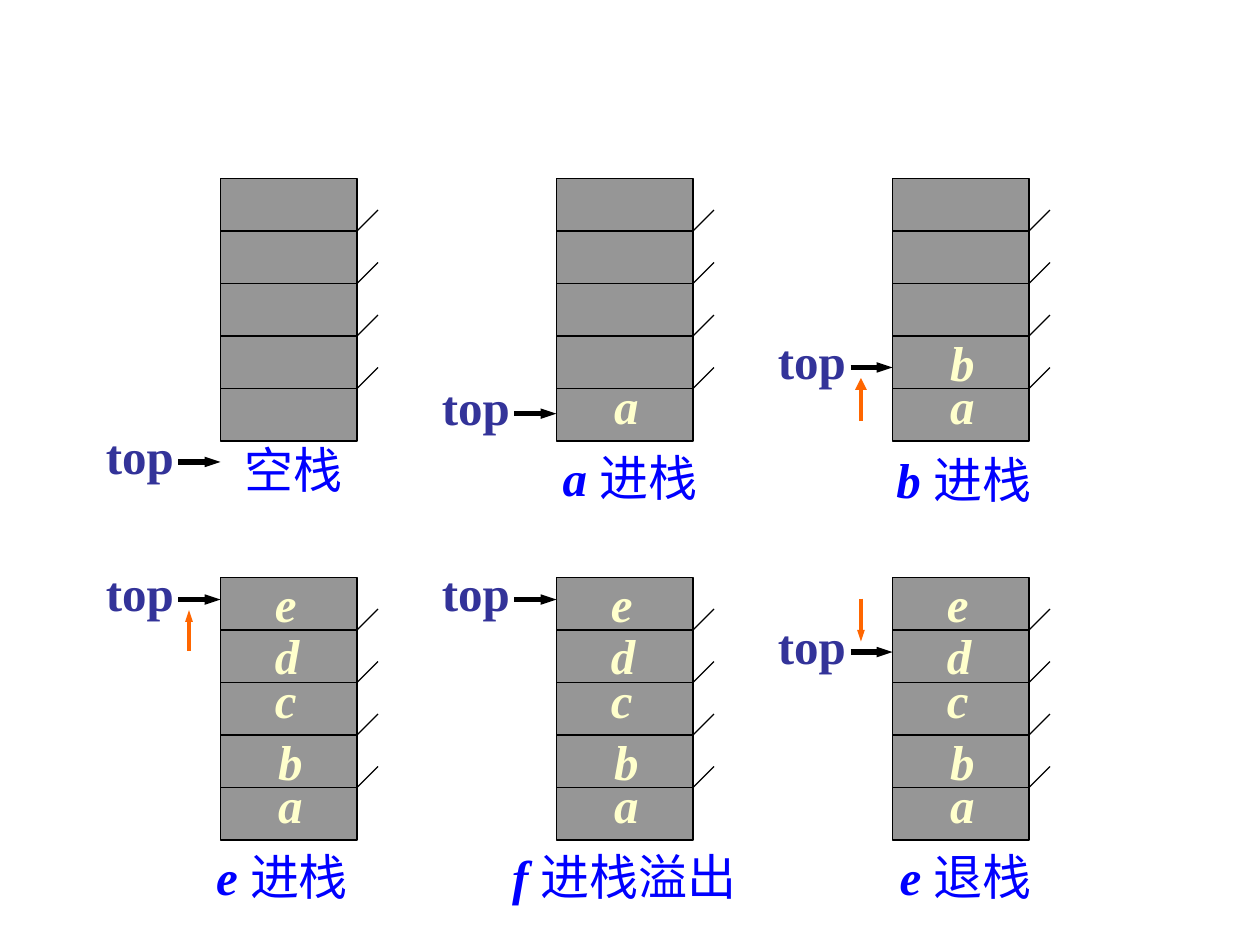
from dataclasses import dataclass

from lxml import etree
from pptx import Presentation
from pptx.dml.color import RGBColor
from pptx.enum.shapes import MSO_CONNECTOR, MSO_SHAPE
from pptx.enum.text import MSO_AUTO_SIZE
from pptx.oxml.ns import qn
from pptx.util import Emu, Pt

STRAIGHT = MSO_CONNECTOR.STRAIGHT
RECTANGLE = MSO_SHAPE.RECTANGLE
FIT_SHAPE = MSO_AUTO_SIZE.SHAPE_TO_FIT_TEXT

PX = 7620  # 120 px to the inch
FONT = "Times New Roman"
BLACK, GRAY, ORANGE = "000000", "969696", "FF6600"
LABEL_BLUE, CAPTION_BLUE, CREAM = "333399", "0000FF", "FFFFCC"

# Stack grid
LEFT, COLUMN_PITCH = 210, 320
ROW_TOPS = (170, 550)
STACK_WIDTH, CELL_HEIGHT, CELLS, TICK = 130, 50, 5, 20
TEXT_HEIGHT = 68

# Element letter: (left, top, width) within its stack
LETTERS = {
    "a": (43, 182, 47),
    "b": (43, 141, 47),
    "c": (40, 82, 44),
    "d": (40, 40, 47),
    "e": (40, -10, 44),
}


@dataclass
class StackState:
    column: int
    row: int
    elements: str
    pointer: int         # height of the top arrow
    symbol: str
    action: str
    caption_box: tuple   # left, top, width
    motion: tuple = ()   # start, end, head width of the orange arrow


STATES = [
    StackState(0, 0, "", 270, "", "空栈", (11, 243, 122)),
    StackState(1, 0, "a", 224, "a", "进栈", (-6, 250, 169)),
    StackState(2, 0, "ab", 180, "b", "进栈", (-8, 252, 169), (231, 190, "med")),
    StackState(0, 1, "abcde", 21, "e", "进栈", (-16, 250, 167), (70, 31, "sm")),
    StackState(1, 1, "abcde", 21, "f", "进栈溢出", (-54, 250, 254)),
    StackState(2, 1, "abcde", 71, "e", "退栈", (-5, 250, 167), (20, 61, "sm")),
]


def px(value):
    return Emu(value * PX)


def color(value):
    return RGBColor.from_string(value)


def add_line(slide, start, end, line_color=BLACK, width=0.75, head_width=None):
    connector = slide.shapes.add_connector(STRAIGHT, *map(px, start + end))
    connector.line.color.rgb = color(line_color)
    connector.line.width = Pt(width)
    properties = connector._element.spPr
    if head_width:
        etree.SubElement(properties.find(qn("a:ln")), qn("a:tailEnd"),
                         type="triangle", w=head_width, len="med")
    etree.SubElement(properties, qn("a:effectLst"))


def add_text(slide, left, top, width, font_color):
    text_box = slide.shapes.add_textbox(px(left), px(top), px(width), px(TEXT_HEIGHT))
    text_box.text_frame.word_wrap = False
    text_box.text_frame.auto_size = FIT_SHAPE
    paragraph = text_box.text_frame.paragraphs[0]
    paragraph.font.name = FONT
    paragraph.font.size = Pt(28)
    paragraph.font.color.rgb = color(font_color)
    return paragraph


def draw_stack(slide, left, top):
    stack = slide.shapes.add_shape(RECTANGLE, px(left), px(top),
                                   px(STACK_WIDTH), px(CELLS * CELL_HEIGHT))
    stack.shadow.inherit = False
    stack.fill.solid()
    stack.fill.fore_color.rgb = color(GRAY)
    stack.line.color.rgb = color(BLACK)
    stack.line.width = Pt(0.75)
    # Cell dividers with slanted ticks
    right = left + STACK_WIDTH
    for cell in range(1, CELLS):
        y = top + cell * CELL_HEIGHT
        add_line(slide, (left, y), (right, y))
        add_line(slide, (right, y), (right + TICK, y - TICK))


def draw_elements(slide, left, top, elements):
    for letter in elements:
        x, y, width = LETTERS[letter]
        paragraph = add_text(slide, left + x, top + y, width, CREAM)
        paragraph.add_run().text = letter
        paragraph.font.bold = paragraph.font.italic = True


def draw_pointer(slide, left, y):
    paragraph = add_text(slide, left - 121, y - 41, 89, LABEL_BLUE)
    paragraph.add_run().text = "top"
    paragraph.font.bold = True
    add_line(slide, (left - 40, y), (left, y), width=3, head_width="sm")


def draw_caption(slide, left, top, state):
    x, y, width = state.caption_box
    paragraph = add_text(slide, left + x, top + y, width, CAPTION_BLUE)
    if state.symbol:
        run = paragraph.add_run()
        run.text = state.symbol + " "
        run.font.bold = run.font.italic = True
    paragraph.add_run().text = state.action


def draw_state(slide, state):
    left = LEFT + state.column * COLUMN_PITCH
    top = ROW_TOPS[state.row]
    draw_stack(slide, left, top)
    draw_elements(slide, left, top, state.elements)
    draw_pointer(slide, left, top + state.pointer)
    draw_caption(slide, left, top, state)
    # Movement of the top pointer
    if state.motion:
        start, end, head_width = state.motion
        add_line(slide, (left - 30, top + start), (left - 30, top + end),
                 ORANGE, 2.25, head_width)


def main():
    presentation = Presentation()
    presentation.slide_width, presentation.slide_height = px(1200), px(900)
    slide = presentation.slides.add_slide(presentation.slide_layouts[6])
    for state in STATES:
        draw_state(slide, state)
    presentation.save("out.pptx")


if __name__ == "__main__":
    main()
